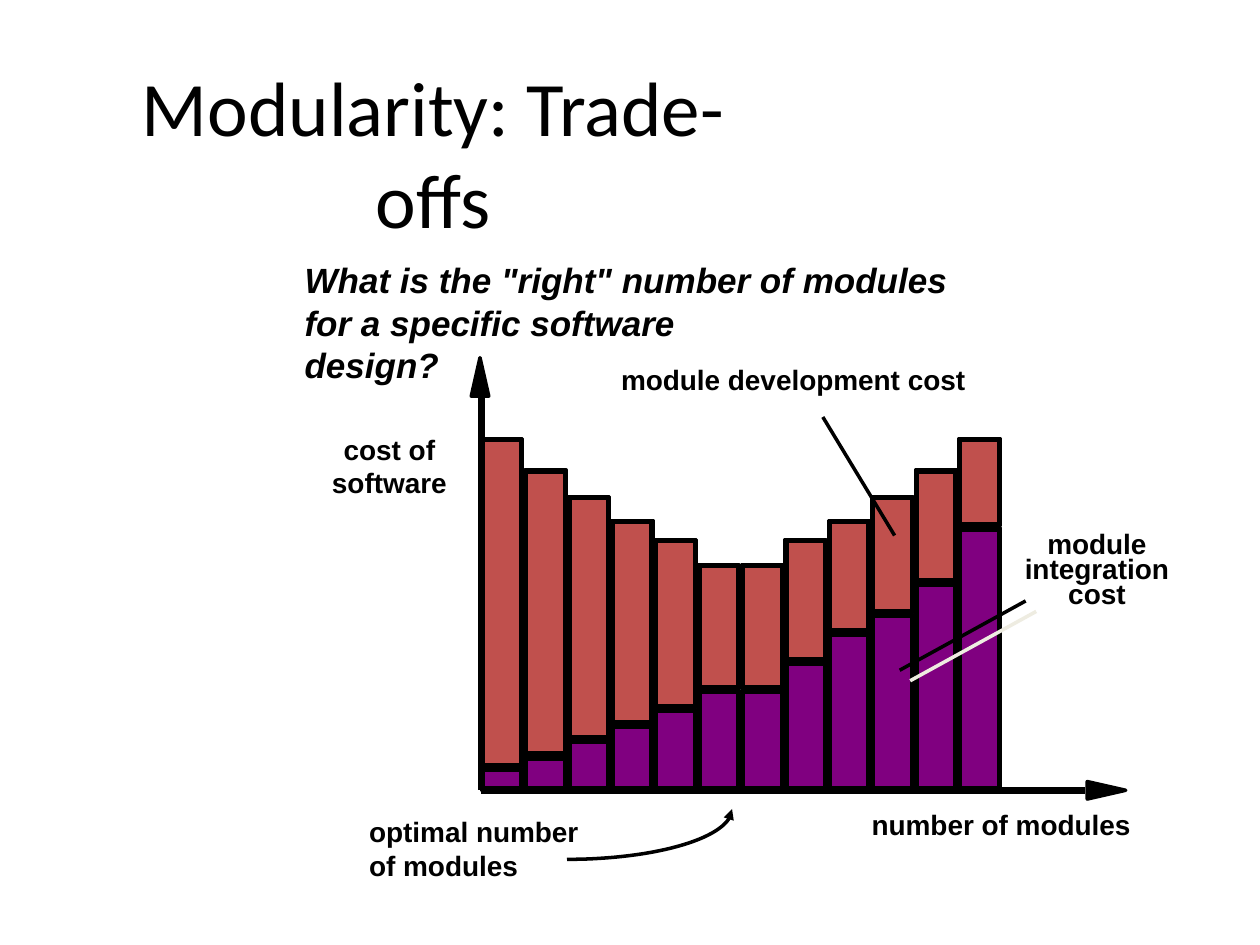
import math
from dataclasses import dataclass
from typing import NamedTuple

from lxml import etree
from pptx import Presentation
from pptx.dml.color import RGBColor
from pptx.enum.shapes import MSO_CONNECTOR, MSO_SHAPE
from pptx.enum.text import MSO_ANCHOR, PP_ALIGN
from pptx.oxml.ns import qn
from pptx.util import Pt

RECTANGLE = MSO_SHAPE.RECTANGLE
STRAIGHT = MSO_CONNECTOR.STRAIGHT
TOP = MSO_ANCHOR.TOP
LEFT, CENTER = PP_ALIGN.LEFT, PP_ALIGN.CENTER


@dataclass(frozen=True)
class Theme:
    ink: RGBColor = RGBColor(0x00, 0x00, 0x00)
    development: RGBColor = RGBColor(0xC0, 0x50, 0x4D)
    integration: RGBColor = RGBColor(0x80, 0x00, 0x80)
    shadow: str = "EEECE1"
    title_font: str = "Calibri"
    body_font: str = "Arial"
    title_size: float = 44
    question_size: float = 20
    label_size: float = 16
    thin: float = 2
    thick: float = 4


THEME = Theme()


class Point(NamedTuple):
    x: float
    y: float


class Label(NamedTuple):
    lines: tuple[str, ...]
    left: float
    top: float
    width: float
    height: float
    align: PP_ALIGN = LEFT
    size: float = THEME.label_size
    font: str = THEME.body_font
    bold: bool = True
    italic: bool = False
    spacing: float = 1.0
    inset: Point = Point(7.2, 3.6)


class Bar(NamedTuple):
    top: float
    split: float


# Texts
LABELS = (
    Label(("Modularity: Trade-offs",), 48.2, 31.7, 398.9, 51.8, CENTER,
          THEME.title_size, THEME.title_font, bold=False, inset=Point(5, 2.2)),
    Label(('What is the "right" number of modules',), 167, 144, 390, 31,
          size=THEME.question_size, italic=True),
    Label(("for a specific software design?",), 167, 169, 305, 31,
          size=THEME.question_size, italic=True),
    Label(("optimal number", "of modules"), 203.8, 462.2, 140, 45),
    Label(("cost of", "software"), 172, 243.4, 101, 45, CENTER),
    Label(("number of modules",), 491, 457.9, 175, 26),
    Label(("module", "integration", "cost"), 578.2, 301.7, 97.2, 50.4, CENTER,
          spacing=0.75),
    Label(("module development cost",), 347.8, 203.8, 216, 26),
)

# Stacked bars: top of the development part, top of the integration part
BARS = (
    Bar(250.6, 439.2), Bar(268.6, 432.7), Bar(283.7, 423.4), Bar(297.4, 414.7),
    Bar(308.2, 405.4), Bar(322.6, 394.6), Bar(322.6, 394.6), Bar(308.2, 378.7),
    Bar(297.4, 362.2), Bar(283.7, 351.4), Bar(268.6, 333.4), Bar(250.6, 301.7),
)
BAR_LEFT, BAR_STEP, BAR_WIDTH = 275.1, 24.8, 23.6
BASELINE, PART_GAP, FRAME_INSET = 451.4, 1.3, 1.0


def add_label(shapes, label: Label) -> None:
    box = shapes.add_textbox(Pt(label.left), Pt(label.top),
                             Pt(label.width), Pt(label.height))
    frame = box.text_frame
    frame.word_wrap = True
    frame.vertical_anchor = TOP
    frame.margin_left = frame.margin_right = Pt(label.inset.x)
    frame.margin_top = frame.margin_bottom = Pt(label.inset.y)
    for index, line in enumerate(label.lines):
        para = frame.add_paragraph() if index else frame.paragraphs[0]
        para.text = line
        para.alignment = label.align
        para.line_spacing = label.spacing
        font = para.font
        font.name, font.size = label.font, Pt(label.size)
        font.bold, font.italic = label.bold, label.italic
        font.color.rgb = THEME.ink


def style_shape(shape, fill: RGBColor | None) -> None:
    shape.shadow.inherit = False
    if fill is None:
        shape.fill.background()
    else:
        shape.fill.solid()
        shape.fill.fore_color.rgb = fill
    shape.line.color.rgb = THEME.ink
    shape.line.width = Pt(THEME.thin)


def add_bar_part(shapes, left: float, top: float, bottom: float, fill: RGBColor) -> None:
    """Draw a filled block and the slightly larger frame around it."""
    for inset, colour in ((FRAME_INSET, fill), (0, None)):
        block = shapes.add_shape(RECTANGLE, Pt(left + inset), Pt(top + inset),
                                 Pt(BAR_WIDTH - 2 * inset), Pt(bottom - top - 2 * inset))
        style_shape(block, colour)


def add_line(shapes, start: Point, end: Point, width: float, shadow: bool = False) -> None:
    line = shapes.add_connector(STRAIGHT, Pt(start.x), Pt(start.y), Pt(end.x), Pt(end.y))
    line.line.color.rgb = THEME.ink
    line.line.width = Pt(width)
    effects = etree.SubElement(line._element.spPr, qn("a:effectLst"))
    if shadow:
        outer = etree.SubElement(effects, qn("a:outerShdw"), dist=str(Pt(8.5)),
                                 dir="2700000", algn="ctr", rotWithShape="0")
        etree.SubElement(outer, qn("a:srgbClr"), val=THEME.shadow)


def add_outline(shapes, points: list[Point], fill: RGBColor | None):
    corners = [(Pt(point.x), Pt(point.y)) for point in points]
    builder = shapes.build_freeform(*corners[0])
    builder.add_line_segments(corners[1:], close=fill is not None)
    outline = builder.convert_to_shape()
    style_shape(outline, fill)
    return outline


def add_axis(shapes, start: Point, end: Point, head: list[Point]) -> None:
    axis = shapes.add_group_shape().shapes
    add_outline(axis, head, THEME.ink)
    add_line(axis, start, end, THEME.thick)


def add_curved_arrow(shapes, center: Point, radius: Point, steps: int = 32) -> None:
    """Draw a quarter ellipse whose arrowhead sits at its right end."""
    angles = [math.pi / 2 * step / steps for step in range(steps + 1)]
    points = [Point(center.x + radius.x * math.cos(angle),
                    center.y + radius.y * math.sin(angle)) for angle in angles]
    curve = add_outline(shapes, points, None)
    etree.SubElement(curve.line._get_or_add_ln(), qn("a:headEnd"), type="triangle")


def main() -> None:
    deck = Presentation()
    deck.slide_width, deck.slide_height = Pt(720), Pt(540)
    shapes = deck.slides.add_slide(deck.slide_layouts[6]).shapes

    # Cost bars
    for index, bar in enumerate(BARS):
        left = BAR_LEFT + index * BAR_STEP
        add_bar_part(shapes, left, bar.split, BASELINE, THEME.integration)
        add_bar_part(shapes, left, bar.top, bar.split - PART_GAP, THEME.development)

    for label in LABELS:
        add_label(shapes, label)

    # Axes
    add_axis(shapes, Point(275, 452), Point(620, 452),
             [Point(643.3, 451.6), Point(621.3, 456.6), Point(621.3, 446.6)])
    add_axis(shapes, Point(275, 451.4), Point(275, 225.5),
             [Point(274.3, 204.4), Point(279.3, 226.4), Point(269.3, 226.4)])

    # Pointers from the labels to the bars
    add_line(shapes, Point(470.2, 238.3), Point(511.2, 306), THEME.thin)
    add_line(shapes, Point(586.1, 343.4), Point(514.1, 383), THEME.thin, shadow=True)
    add_curved_arrow(shapes, Point(324, 462.3), Point(94.3, 28.8))

    deck.save("out.pptx")


if __name__ == "__main__":
    main()
